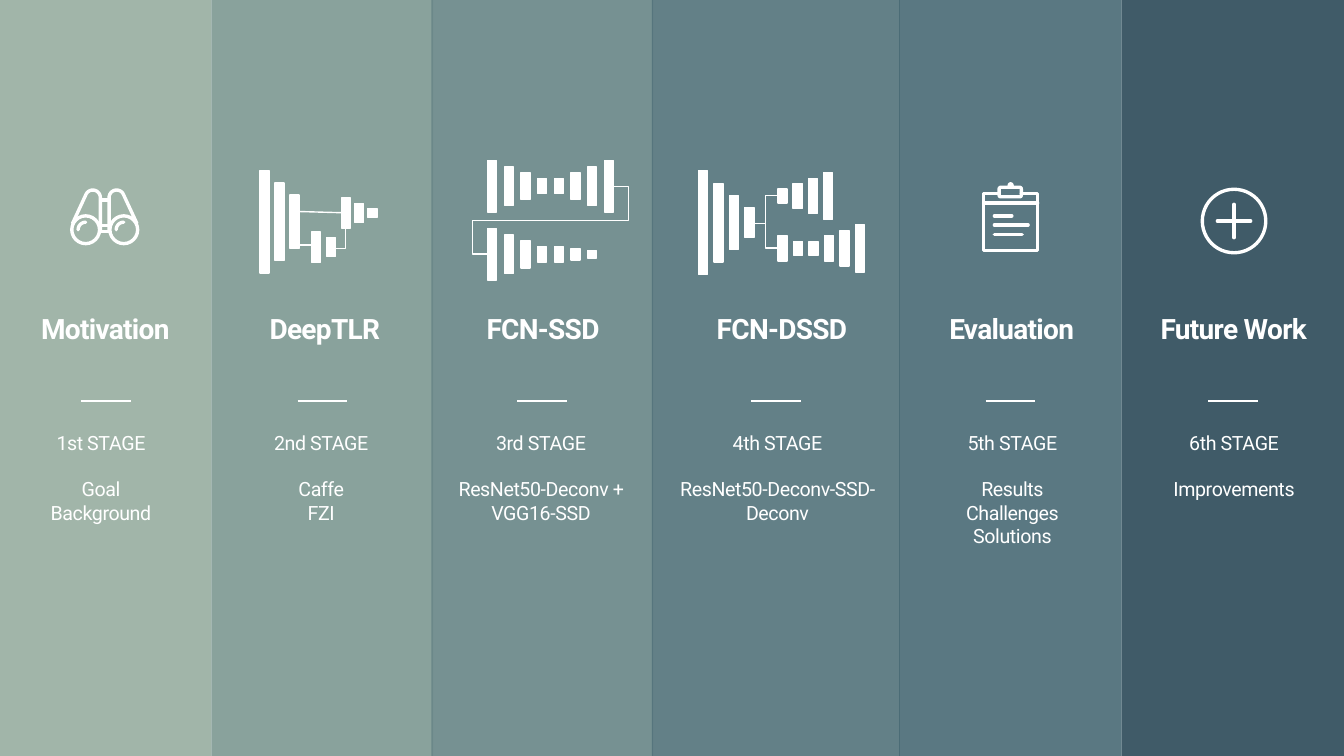
from math import cos, radians, sin

from lxml.etree import SubElement
from pptx import Presentation
from pptx.dml.color import RGBColor
from pptx.enum.shapes import MSO_CONNECTOR as CONN, MSO_SHAPE as SHAPE
from pptx.enum.text import PP_ALIGN as ALIGN
from pptx.oxml.ns import qn
from pptx.util import Cm, Pt

WHITE = RGBColor(0xFF, 0xFF, 0xFF)
SAGE = RGBColor(0x97, 0xAE, 0xA0)
MOSS = RGBColor(0x7D, 0x98, 0x92)
TEAL = RGBColor(0x68, 0x86, 0x87)
SLATE = RGBColor(0x53, 0x73, 0x7B)
STEEL = RGBColor(0x49, 0x6A, 0x75)
NAVY = RGBColor(0x2C, 0x4A, 0x58)

SLIDE_W, SLIDE_H = 33.87, 19.05
ICON_TOP, TITLE_TOP, DASH_Y, BODY_TOP = 4, 7.85, 10.11, 10.85
TEXT_W, DASH_W, BAR_W = 5.08, 1.25, 0.23
THIN, DASH, STROKE = Pt(1), Pt(1.5), Pt(2.4)


# Basic parts
def add_box(s, kind, x, y, w, h, fill=None, line=None):
    sp = s.shapes.add_shape(kind, Cm(x), Cm(y), Cm(w), Cm(h))
    sp.shadow.inherit = False
    if fill is None:
        sp.fill.background()
    else:
        sp.fill.solid()
        sp.fill.fore_color.rgb = fill
    if line is None:
        sp.line.fill.background()
    else:
        sp.line.color.rgb = WHITE
        sp.line.width = line
    return sp


def add_circle(s, cx, cy, r, fill=None, line=None):
    add_box(s, SHAPE.OVAL, cx - r, cy - r, 2 * r, 2 * r, fill, line)


def add_wire(s, begin, end, width=THIN, preset="line", adjusts=()):
    c = s.shapes.add_connector(CONN.STRAIGHT, *map(Cm, begin + end))
    c.line.color.rgb = WHITE
    c.line.width = width
    spPr = c._element.spPr
    SubElement(spPr, qn("a:effectLst"))
    geom = spPr.find(qn("a:prstGeom"))
    geom.set("prst", preset)
    for i, value in enumerate(adjusts, 1):
        SubElement(geom.find(qn("a:avLst")), qn("a:gd"),
                   name=f"adj{i}", fmla=f"val {value}")


def add_stroke(s, points):
    pts = [(Cm(x), Cm(y)) for x, y in points]
    builder = s.shapes.build_freeform(*pts[0])
    builder.add_line_segments(pts[1:], close=False)
    sp = builder.convert_to_shape()
    sp.shadow.inherit = False
    sp.fill.background()
    sp.line.color.rgb = WHITE
    sp.line.width = STROKE
    sp.line._get_or_add_ln().set("cap", "rnd")


def arc(cx, cy, r, start, end):
    return [(cx + r * cos(radians(a)), cy + r * sin(radians(a)))
            for a in range(start, end + 1, 10)]


def add_bars(s, x, cy, pitch, heights):
    for i, h in enumerate(heights):
        add_box(s, SHAPE.RECTANGLE, x + i * pitch, cy - h / 2, BAR_W, h, WHITE, THIN)


def add_text(s, cx, y, h, lines, size, bold, spacing, gap=0):
    tb = s.shapes.add_textbox(Cm(cx - TEXT_W / 2), Cm(y), Cm(TEXT_W), Cm(h))
    tf = tb.text_frame
    tf.word_wrap = True
    tf.margin_left = tf.margin_right = tf.margin_top = tf.margin_bottom = 0
    for i, line in enumerate(lines):
        p = tf.add_paragraph() if i else tf.paragraphs[0]
        p.alignment = ALIGN.CENTER
        if i == 1:
            p.space_before = Pt(gap)
        r = p.add_run()
        r.text = line
        r.font.name = "Roboto"
        r.font.size = Pt(size)
        r.font.bold = bold
        r.font.color.rgb = WHITE
        r._r.get_or_add_rPr().set("spc", str(spacing))


# Icons, each placed from the left edge of its column and the icon top
def binoculars(s, x, y):
    middle = x + 2.64
    for side in (-1, 1):
        add_circle(s, middle + side * 0.48, y + 1.79, 0.35, line=STROKE)
        barrel = [(-0.81, 1.63), *arc(-0.3, 0.98, 0.19, 200, 360), (-0.11, 1.79)]
        add_stroke(s, [(middle - side * dx, y + dy) for dx, dy in barrel])
        add_stroke(s, arc(middle + side * 0.48, y + 1.79, 0.19, 180, 270))
    for dy in (1.04, 1.68, 1.83):
        add_wire(s, (middle - 0.11, y + dy), (middle + 0.11, y + dy), STROKE)


def deep_tlr(s, x, y):
    add_bars(s, x + 1.22, y + 1.59, 0.38, (2.59, 1.96, 1.35))
    add_bars(s, x + 2.52, y + 2.23, 0.38, (0.76, 0.48))
    add_bars(s, x + 3.28, y + 1.37, 0.33, (0.76, 0.48, 0.23))
    add_wire(s, (x + 2.21, y + 1.33), (x + 3.28, y + 1.36))
    add_wire(s, (x + 2.24, y + 2.17), (x + 2.52, y + 2.17))
    add_wire(s, (x + 3.1, y + 2.27), (x + 3.38, y + 1.74), preset="bentConnector2")


def fcn_ssd(s, x, y):
    shrink = (1.3, 0.97, 0.69, 0.38)
    add_bars(s, x + 1.42, y + 0.69, 0.42, shrink + shrink[::-1])
    add_bars(s, x + 1.42, y + 2.41, 0.42, shrink + (0.38, 0.28, 0.18))
    add_wire(s, (x + 4.6, y + 0.7), (x + 1.42, y + 2.4),
             preset="bentConnector5", adjusts=(-11900, 50000, 111900))


def fcn_dssd(s, x, y):
    grow = (0.36, 0.64, 0.89, 1.19)
    add_bars(s, x + 1.17, y + 1.61, 0.39, (2.62, 1.98, 1.37, 0.76))
    add_bars(s, x + 3.18, y + 0.94, 0.38, grow)
    add_bars(s, x + 3.18, y + 2.26, 0.39, (0.64, 0.36) + grow)
    for dy in (2.25, 0.93):
        add_wire(s, (x + 2.54, y + 1.64), (x + 3.18, y + dy), preset="bentConnector3")


def clipboard(s, x, y):
    board = [(2.52, 0.88), (2.13, 0.88), (2.13, 2.31),
             (3.49, 2.31), (3.49, 0.88), (3.08, 0.88)]
    add_stroke(s, [(x + dx, y + dy) for dx, dy in board])
    add_box(s, SHAPE.ROUNDED_RECTANGLE, x + 2.52, y + 0.72, 0.56, 0.24, line=STROKE)
    add_circle(s, x + 2.81, y + 0.67, 0.08, WHITE)
    for left, right, dy in ((2.13, 3.49, 1.12), (2.4, 2.84, 1.44),
                            (2.4, 3.25, 1.67), (2.4, 3.1, 1.91)):
        add_stroke(s, [(x + left, y + dy), (x + right, y + dy)])


def plus(s, x, y):
    cx, cy, arm = x + 2.83, y + 1.57, 0.42
    add_circle(s, cx, cy, 0.8, line=STROKE)
    add_stroke(s, [(cx - arm, cy), (cx + arm, cy)])
    add_stroke(s, [(cx, cy - arm), (cx, cy + arm)])


# One column: band, icon, title, dash and stage text
def add_column(s, x, w, color, icon, title, title_shift, body, body_shift):
    band = add_box(s, SHAPE.RECTANGLE, x, 0, w, SLIDE_H, color)
    SubElement(band._element.spPr.find(f".//{qn('a:srgbClr')}"), qn("a:alpha"), val="90000")
    cx = x + w / 2
    icon(s, x, ICON_TOP)
    add_text(s, cx + title_shift, TITLE_TOP, 0.86, [title], 20, True, -50)
    add_wire(s, (cx - DASH_W / 2, DASH_Y), (cx + DASH_W / 2, DASH_Y), DASH)
    add_text(s, cx + body_shift, BODY_TOP, 3, body, 14, False, -30, gap=16.5)


COLUMNS = [
    (0, 5.33, SAGE, binoculars, "Motivation", -0.01,
     ["1st STAGE", "Goal", "Background"], -0.12),
    (5.33, 5.59, MOSS, deep_tlr, "DeepTLR", 0.06,
     ["2nd STAGE", "Caffe", "FZI"], -0.03),
    (10.87, 5.59, TEAL, fcn_ssd, "FCN-SSD", 0.02,
     ["3rd STAGE", "ResNet50-Deconv + VGG16-SSD"], -0.03),
    (16.43, 6.25, SLATE, fcn_dssd, "FCN-DSSD", 0.15,
     ["4th STAGE", "ResNet50-Deconv-SSD-Deconv"], 0.04),
    (22.66, 5.61, STEEL, clipboard, "Evaluation", 0.03,
     ["5th STAGE", "Results", "Challenges", "Solutions"], 0.05),
    (28.27, 5.6, NAVY, plus, "Future Work", 0.02,
     ["6th STAGE", "Improvements"], 0.03),
]


def main():
    prs = Presentation()
    prs.slide_width, prs.slide_height = Cm(SLIDE_W), Cm(SLIDE_H)
    s = prs.slides.add_slide(prs.slide_layouts[6])
    for column in COLUMNS:
        add_column(s, *column)
    prs.save("out.pptx")


if __name__ == "__main__":
    main()
